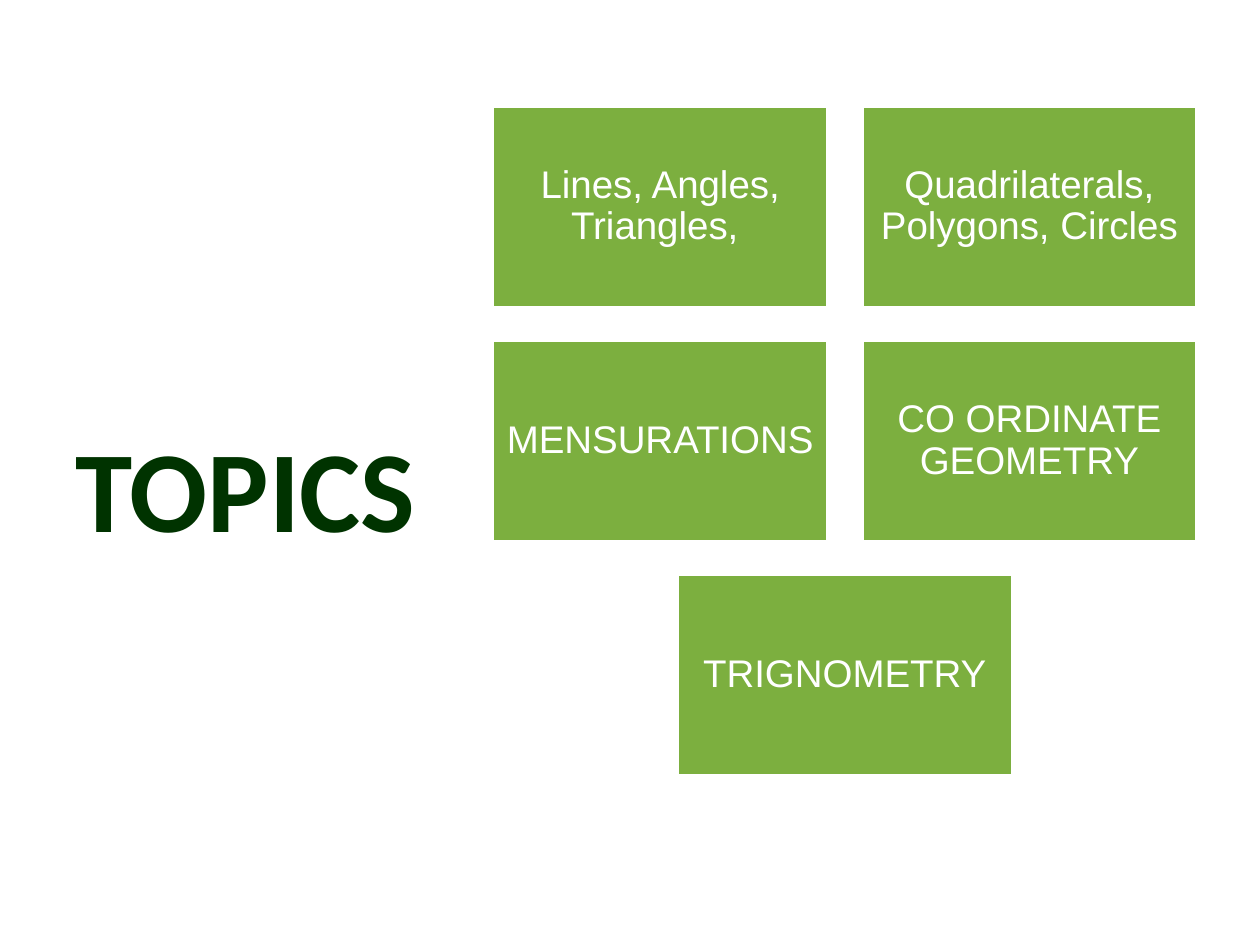
import pptx
import pptx.util
import pptx.dml.color
import pptx.enum.shapes
import pptx.enum.text

Inches = pptx.util.Inches
Pt = pptx.util.Pt
Align = pptx.enum.text.PP_ALIGN
Anchor = pptx.enum.text.MSO_ANCHOR

COLORS = {"title": "003300", "box": "7CAF3F", "white": "FFFFFF"}
WIDTH, HEIGHT = 2.66, 1.6
LEFT, TOP = 3.91, 0.84
STEP_X, STEP_Y = 2.93, 1.86
COLS = 2
TOPICS = [
    ["Lines, Angles, Triangles, ", "Quadrilaterals, Polygons, Circles"],
    ["MENSURATIONS", "CO ORDINATE GEOMETRY"],
    ["TRIGNOMETRY"],
]


class Deck:
    def __init__(self):
        self.file = pptx.Presentation()
        self.file.slide_width = Inches(10)
        self.file.slide_height = Inches(7.5)
        self.slide = self.file.slides.add_slide(self.file.slide_layouts[5])

    def color(self, name):
        return pptx.dml.color.RGBColor.from_string(COLORS[name])

    def style(self, frame, text, font, size, color, align, anchor):
        frame.word_wrap = True
        frame.auto_size = pptx.enum.text.MSO_AUTO_SIZE.NONE
        frame.vertical_anchor = anchor
        frame.text = text
        para = frame.paragraphs[0]
        para.alignment = align
        para.font.name = font
        para.font.size = Pt(size)
        para.font.color.rgb = self.color(color)
        return para

    def title(self, text, left, top, width, height):
        shape = self.slide.shapes.title
        shape.left, shape.top = Inches(left), Inches(top)
        shape.width, shape.height = Inches(width), Inches(height)
        para = self.style(shape.text_frame, text, "Calibri", 66, "title",
                          Align.LEFT, Anchor.BOTTOM)
        para.font.bold = True

    def box(self, text, left, top):
        shape = self.slide.shapes.add_shape(
            pptx.enum.shapes.MSO_SHAPE.RECTANGLE,
            Inches(left), Inches(top), Inches(WIDTH), Inches(HEIGHT))
        shape.shadow.inherit = False
        shape.fill.solid()
        shape.fill.fore_color.rgb = self.color("box")
        shape.line.color.rgb = self.color("white")
        shape.line.width = Pt(2)
        frame = shape.text_frame
        frame.margin_left = frame.margin_right = Inches(0.09)
        frame.margin_top = frame.margin_bottom = Inches(0.09)
        para = self.style(frame, text, "Arial", 22, "white",
                          Align.CENTER, Anchor.MIDDLE)
        para.line_spacing = 0.9


def main():
    deck = Deck()
    deck.title("TOPICS", 0.5, 3.19, 3.29, 1.27)
    for row, names in enumerate(TOPICS):
        start = LEFT + (COLS - len(names)) * STEP_X / 2
        for col, name in enumerate(names):
            deck.box(name, start + col * STEP_X, TOP + row * STEP_Y)
    deck.file.save("out.pptx")


if __name__ == "__main__":
    main()
